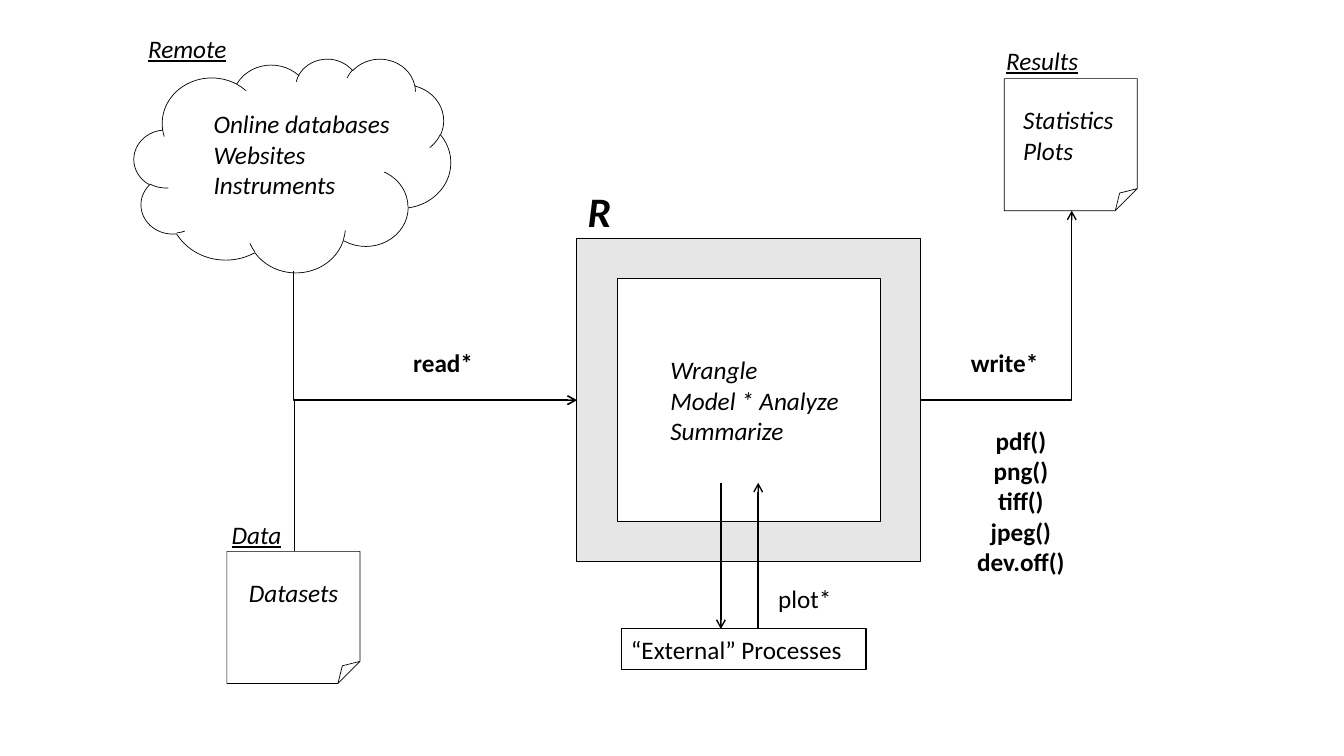
from lxml import etree
from pptx import Presentation
from pptx.dml.color import RGBColor
from pptx.enum import shapes, text
from pptx.oxml.ns import qn
from pptx.util import Inches, Pt

COLORS = {"ink": "000000", "frame": "E7E6E6"}
SHAPE = shapes.MSO_SHAPE
STRAIGHT = shapes.MSO_CONNECTOR.STRAIGHT
ELBOW = shapes.MSO_CONNECTOR.ELBOW

LEFT_OF_R = (5.72, 3.97)
RIGHT_OF_R = (9.13, 3.97)


def rgb(name):
    return RGBColor.from_string(COLORS[name])


def write_lines(sp, lines, size=18, bold=False, italic=False,
                underline=False, align=text.PP_ALIGN.LEFT):
    """Put one paragraph per line into a shape or text box."""
    tf = sp.text_frame
    tf.word_wrap = True
    tf.text = "\n".join(lines)
    for p in tf.paragraphs:
        p.alignment = align
        p.font.name = "Calibri"
        p.font.size = Pt(size)
        p.font.bold = bold
        p.font.italic = italic
        p.font.underline = underline
        p.font.color.rgb = rgb("ink")


def add_label(s, box, *lines, **style):
    sp = s.shapes.add_textbox(*map(Inches, box))
    write_lines(sp, lines, **style)


def add_outline(s, kind, box, fill=None, width=0.5):
    sp = s.shapes.add_shape(kind, *map(Inches, box))
    sp.shadow.inherit = False
    if fill:
        sp.fill.solid()
        sp.fill.fore_color.rgb = rgb(fill)
    else:
        sp.fill.background()
    sp.line.color.rgb = rgb("ink")
    sp.line.width = Pt(width)
    return sp


def add_arrow(s, start, end, kind=STRAIGHT):
    cxn = s.shapes.add_connector(kind, *map(Inches, start + end))
    cxn.line.color.rgb = rgb("ink")
    cxn.line.width = Pt(1)
    etree.SubElement(cxn.line._get_or_add_ln(), qn("a:tailEnd"), type="arrow")
    etree.SubElement(cxn._element.spPr, qn("a:effectLst"))
    return cxn


def add_bent_arrow(s, start, end):
    """Draw an arrow with one corner, leaving its start horizontally."""
    cxn = add_arrow(s, start, end, ELBOW)
    cxn._element.spPr.find(qn("a:prstGeom")).set("prst", "bentConnector2")
    return cxn


def add_upright_bent_arrow(s, start, end):
    """Draw a one-corner arrow leaving its start vertically (a turned box)."""
    (x1, y1), (x2, y2) = start, end
    mid_x, mid_y = (x1 + x2) / 2, (y1 + y2) / 2
    half_w, half_h = abs(y2 - y1) / 2, abs(x2 - x1) / 2
    cxn = add_bent_arrow(s, (mid_x - half_w, mid_y - half_h),
                         (mid_x + half_w, mid_y + half_h))
    xfrm = cxn._element.spPr.find(qn("a:xfrm"))
    xfrm.set("rot", str(270 * 60000))
    if y2 > y1:
        xfrm.set("flipH", "1")


def add_r_session(s):
    add_outline(s, SHAPE.FRAME, (5.72, 2.36, 3.41, 3.21), fill="frame")
    add_label(s, (5.73, 1.79, 0.46, 0.61), "R", size=30, bold=True, italic=True)
    add_label(s, (6.55, 3.47, 2.01, 1.01),
              "Wrangle", "Model * Analyze", "Summarize", italic=True)


def add_inputs(s):
    add_outline(s, SHAPE.CLOUD, (1.33, 0.58, 3.14, 2.12))
    add_label(s, (1.37, 0.28, 1.68, 0.4), "Remote", italic=True, underline=True)
    add_label(s, (2.02, 1.03, 2.04, 1.01),
              "Online databases", "Websites", "Instruments", italic=True)

    add_outline(s, SHAPE.FOLDED_CORNER, (2.25, 5.47, 1.32, 1.31))
    add_label(s, (2.2, 5.1, 1.25, 0.4), "Data", italic=True, underline=True)
    add_label(s, (2.37, 5.68, 1.16, 0.4), "Datasets", italic=True)

    add_upright_bent_arrow(s, (2.91, 2.69), LEFT_OF_R)
    add_upright_bent_arrow(s, (2.92, 5.47), LEFT_OF_R)
    add_label(s, (4, 3.4, 0.95, 0.4), "read*", bold=True)


def add_results(s):
    add_outline(s, SHAPE.FOLDED_CORNER, (9.96, 0.78, 1.32, 1.31))
    add_label(s, (9.88, 0.4, 1.25, 0.4), "Results", italic=True, underline=True)
    add_label(s, (10.05, 0.99, 1.16, 0.71), "Statistics", "Plots", italic=True)
    add_bent_arrow(s, RIGHT_OF_R, (10.63, 2.09))
    add_label(s, (9.53, 3.4, 1.02, 0.4), "write*", bold=True)
    add_label(s, (9.53, 4.17, 1.19, 1.62),
              "pdf()", "png()", "tiff()", "jpeg()", "dev.off()",
              bold=True, align=text.PP_ALIGN.CENTER)


def add_external_processes(s):
    sp = add_outline(s, SHAPE.RECTANGLE, (6.16, 6.24, 2.43, 0.4), width=0.75)
    write_lines(sp, ["“External” Processes"])
    add_arrow(s, (7.15, 4.79), (7.15, 6.24))
    add_arrow(s, (7.52, 6.24), (7.52, 4.79))
    add_label(s, (7.62, 5.74, 0.95, 0.4), "plot*")


def main():
    prs = Presentation()
    prs.slide_width, prs.slide_height = Inches(13.33), Inches(7.5)
    s = prs.slides.add_slide(prs.slide_layouts[6])
    add_r_session(s)
    add_inputs(s)
    add_results(s)
    add_external_processes(s)
    prs.save("out.pptx")


if __name__ == "__main__":
    main()
